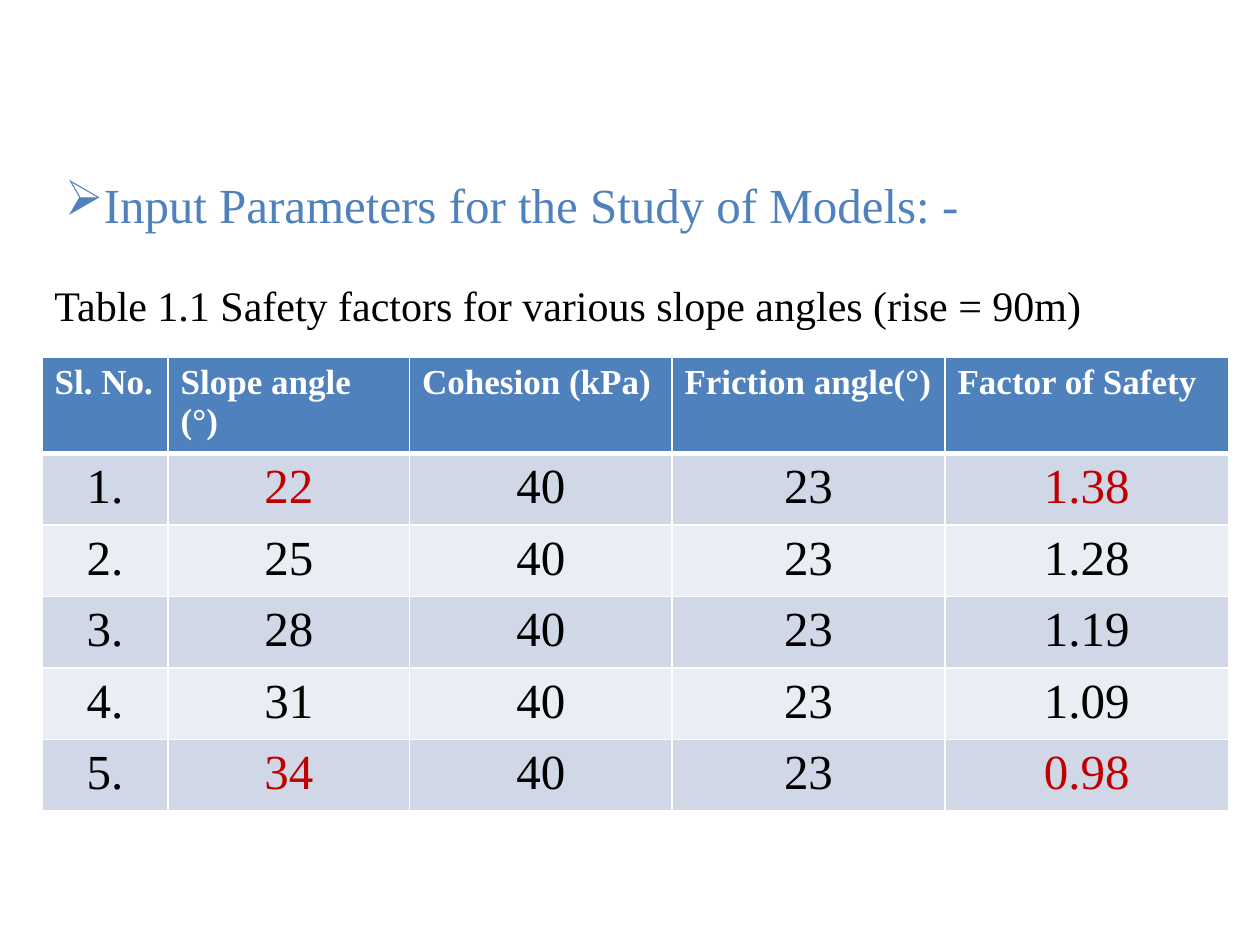
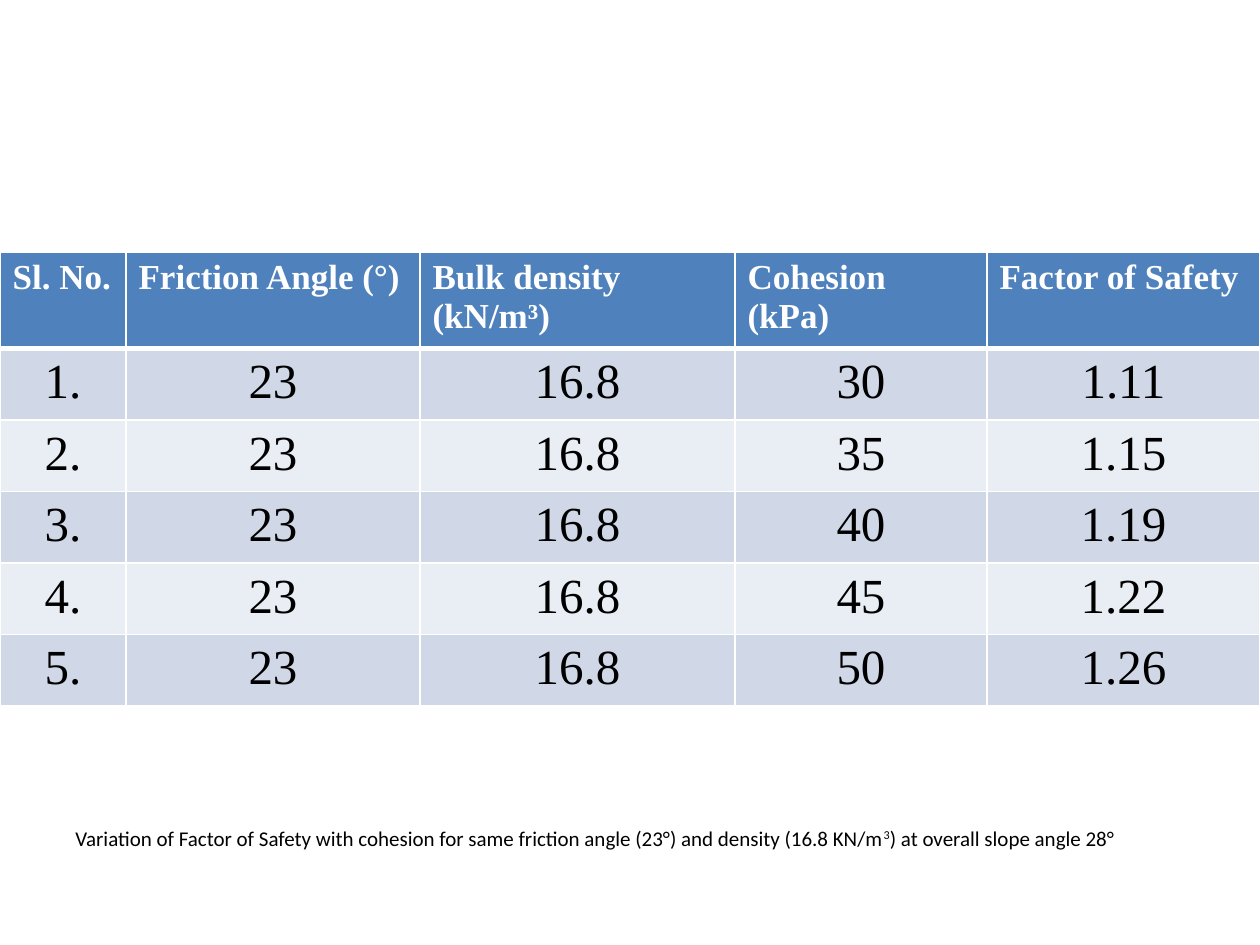
import lxml.etree
import pptx
import pptx.dml.color
import pptx.enum.text
import pptx.oxml.ns
import pptx.util

Pt = pptx.util.Pt
qn = pptx.oxml.ns.qn

SERIF = "Times New Roman"
SANS = "Calibri"
BLUE, RED, BLACK, WHITE = "4F81BD", "C00000", "000000", "FFFFFF"
BANDS = ("D0D8E8", "E9EDF4")
HEADER_HEIGHT, ROW_HEIGHT = 54.9, 40.8


def color(value):
    return pptx.dml.color.RGBColor.from_string(value)


class Deck:
    def __init__(self):
        self.prs = pptx.Presentation()
        self.prs.slide_width = Pt(720)
        self.prs.slide_height = Pt(540)
        self.s = None

    def slide(self):
        self.s = self.prs.slides.add_slide(self.prs.slide_layouts[6])

    def style(self, r, size, fill, font=SERIF, bold=False):
        r.font.name = font
        r.font.size = Pt(size)
        r.font.bold = bold
        r.font.color.rgb = color(fill)

    def text(self, box, parts, size, fill=BLACK, font=SERIF, wrap=True):
        sp = self.s.shapes.add_textbox(*map(Pt, box))
        tf = sp.text_frame
        tf.word_wrap = wrap
        tf.auto_size = pptx.enum.text.MSO_AUTO_SIZE.SHAPE_TO_FIT_TEXT
        p = tf.paragraphs[0]
        for part in parts:
            r = p.add_run()
            r.text = part
            self.style(r, size, fill, font)
        return p

    def bullet(self, p, char):
        pPr = p._p.get_or_add_pPr()
        lxml.etree.SubElement(pPr, qn("a:buChar")).set("char", char)

    def superscript(self, r):
        r._r.get_or_add_rPr().set("baseline", "30000")

    def borders(self, cell, bottom):
        tcPr = cell._tc.get_or_add_tcPr()
        for side, width in (("L", 1), ("R", 1), ("T", 1), ("B", bottom)):
            ln = lxml.etree.SubElement(tcPr, qn("a:ln" + side), w=str(Pt(width)))
            solid = lxml.etree.SubElement(ln, qn("a:solidFill"))
            lxml.etree.SubElement(solid, qn("a:srgbClr"), val=WHITE)

    def cell(self, cell, text, size, fill, back, header):
        self.borders(cell, 3 if header else 1)
        cell.fill.solid()
        cell.fill.fore_color.rgb = color(back)
        cell.text_frame.text = text
        p = cell.text_frame.paragraphs[0]
        if not header:
            p.alignment = pptx.enum.text.PP_ALIGN.CENTER
        self.style(p.runs[0], size, fill, bold=header)

    def table(self, left, top, widths, headings, rows, highlights=()):
        height = HEADER_HEIGHT + ROW_HEIGHT * len(rows)
        table = self.s.shapes.add_table(
            len(rows) + 1, len(widths), Pt(left), Pt(top), Pt(sum(widths)), Pt(height)
        ).table
        for column, width in zip(table.columns, widths):
            column.width = Pt(width)
        for row in table.rows:
            row.height = Pt(ROW_HEIGHT)
        table.rows[0].height = Pt(HEADER_HEIGHT)
        for j, heading in enumerate(headings):
            self.cell(table.cell(0, j), heading, 20, WHITE, BLUE, True)
        for i, values in enumerate(rows, 1):
            for j, value in enumerate((f"{i}.", *values)):
                fill = RED if (i, j) in highlights else BLACK
                self.cell(table.cell(i, j), value, 28, fill, BANDS[(i - 1) % 2], False)


def slope_angle_slide(deck):
    deck.slide()
    p = deck.text((30, 96, 600, 41), ["Input Parameters for the Study of Models: -"], 28, BLUE)
    deck.bullet(p, "➢")
    deck.text(
        (24, 156, 660, 36),
        ["Table 1.1 Safety factors for various slope angles (rise = 90m)"],
        24,
    )
    results = (("22", "1.38"), ("25", "1.28"), ("28", "1.19"), ("31", "1.09"), ("34", "0.98"))
    deck.table(
        24, 204, (72, 138, 150, 156, 162),
        ("Sl. No.", "Slope angle (°)", "Cohesion (kPa)", "Friction angle(°)", "Factor of Safety"),
        [(angle, "40", "23", safety) for angle, safety in results],
        highlights=[(i, j) for i in (1, 5) for j in (1, 4)],
    )


def cohesion_slide(deck):
    deck.slide()
    p = deck.text(
        (36, 468, 618.5, 21.6),
        [
            "Variation of Factor of Safety with cohesion for same friction angle (23°)"
            " and density (16.8 KN/m",
            "3",
            ") at overall slope angle 28°",
        ],
        12, font=SANS, wrap=False,
    )
    deck.superscript(p.runs[1])
    results = (("30", "1.11"), ("35", "1.15"), ("40", "1.19"), ("45", "1.22"), ("50", "1.26"))
    deck.table(
        0, 144, (72, 168, 180, 144, 156),
        ("Sl. No.", "Friction Angle (°)", "Bulk density (kN/m³)", "Cohesion (kPa)",
         "Factor of Safety"),
        [("23", "16.8", cohesion, safety) for cohesion, safety in results],
    )


def main():
    deck = Deck()
    slope_angle_slide(deck)
    cohesion_slide(deck)
    deck.prs.save("out.pptx")


if __name__ == "__main__":
    main()
